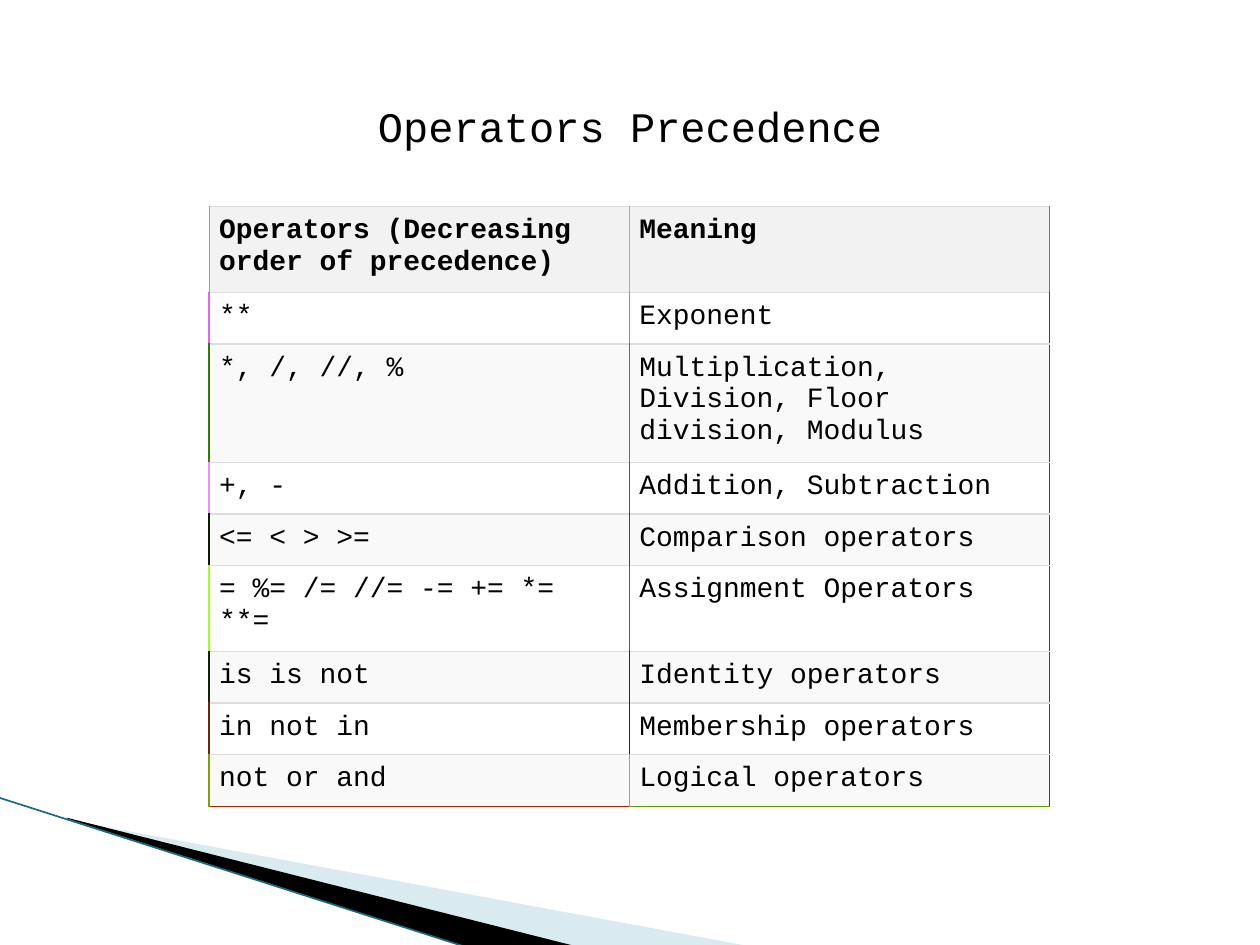
from dataclasses import dataclass

from lxml import etree
from pptx import Presentation
from pptx.dml.color import RGBColor
from pptx.enum.shapes import MSO_CONNECTOR
from pptx.enum.text import MSO_ANCHOR, PP_ALIGN
from pptx.oxml.ns import qn
from pptx.util import Inches, Pt

STRAIGHT = MSO_CONNECTOR.STRAIGHT
CENTER, LEFT = PP_ALIGN.CENTER, PP_ALIGN.LEFT
TOP = MSO_ANCHOR.TOP
TITLE_ONLY = 5


@dataclass(frozen=True)
class Theme:
    font: str = "Courier New"
    title_size: int = 24
    body_size: int = 16
    text: str = "000000"
    header: str = "F2F2F2"
    bands: tuple = ("F9F9F9", "FFFFFF")
    rule: str = "DDDDDD"
    right_edge: str = "D00415"
    pale_blade: str = "A0CBDC"
    dark_blade: str = "000000"
    blade_line: str = "1A6B7F"


class Deck:
    def __init__(self, theme):
        self.theme = theme
        self.prs = Presentation()
        self.prs.slide_width, self.prs.slide_height = Inches(10), Inches(7.5)
        self.s = self.prs.slides.add_slide(self.prs.slide_layouts[TITLE_ONLY])

    def style(self, tf, size, bold=False, align=LEFT):
        tf.word_wrap = True
        for p in tf.paragraphs:
            p.alignment = align
            for r in p.runs:
                r.font.name, r.font.size, r.font.bold = self.theme.font, Pt(size), bold
                r.font.color.rgb = RGBColor.from_string(self.theme.text)

    def title(self, text, x, y, w, h):
        sp = self.s.shapes.title
        sp.left, sp.top, sp.width, sp.height = map(Inches, (x, y, w, h))
        tf = sp.text_frame
        tf.text = text
        tf.vertical_anchor = TOP
        self.style(tf, self.theme.title_size, align=CENTER)

    def blade(self, points, color, alpha=None):
        start, *rest = [(Inches(x), Inches(y)) for x, y in points]
        builder = self.s.shapes.build_freeform(*start)
        builder.add_line_segments(rest, close=True)
        sp = builder.convert_to_shape()
        sp.shadow.inherit = False
        sp.fill.solid()
        sp.fill.fore_color.rgb = RGBColor.from_string(color)
        sp.line.fill.background()
        if alpha is not None:
            clr = sp.fill._xPr.find(qn("a:solidFill"))[0]
            etree.SubElement(clr, qn("a:alpha"), val=str(alpha * 1000))

    def line(self, start, end, color, width):
        cn = self.s.shapes.add_connector(STRAIGHT, *map(Inches, start + end))
        cn.line.color.rgb = RGBColor.from_string(color)
        cn.line.width = Pt(width)
        etree.SubElement(cn._element.spPr, qn("a:effectLst"))

    def borders(self, cell, **sides):
        tcPr = cell._tc.get_or_add_tcPr()
        for side, (color, width) in sides.items():
            ln = etree.SubElement(tcPr, qn(f"a:ln{side}"), w=str(Pt(width)))
            fill = etree.SubElement(ln, qn("a:solidFill"))
            etree.SubElement(fill, qn("a:srgbClr"), val=color)

    def table(self, rows, edges, heights, bottoms, x, y, w):
        t = self.theme
        box = map(Inches, (x, y, w, sum(heights)))
        tbl = self.s.shapes.add_table(len(rows), len(rows[0]), *box).table
        rule = (t.rule, 0.75)
        for i, (texts, colors) in enumerate(zip(rows, edges)):
            tbl.rows[i].height = Inches(heights[i])
            widths = (0.75, 0.75, 1) if i == 0 else (1, 1, 1)
            lines = list(zip(colors, widths))
            for j, text in enumerate(texts):
                cell = tbl.cell(i, j)
                cell.text_frame.text = text
                cell.margin_left = cell.margin_right = Inches(0.08)
                cell.margin_top = cell.margin_bottom = Inches(0.07)
                self.style(cell.text_frame, t.body_size, bold=i == 0)
                bottom = (bottoms[j], 1) if i == len(rows) - 1 else rule
                self.borders(cell, L=lines[j], R=lines[j + 1], T=rule, B=bottom)
                cell.fill.solid()
                color = t.header if i == 0 else t.bands[i % 2]
                cell.fill.fore_color.rgb = RGBColor.from_string(color)


theme = Theme()
deck = Deck(theme)
deck.blade([(0.55, 6.51), (5.95, 7.51), (4.56, 7.51), (0.55, 6.5)], theme.pale_blade, 40)
deck.blade([(0.53, 6.49), (4.57, 7.51), (3.72, 7.52), (0.54, 6.5)], theme.dark_blade)
deck.line((-0.01, 6.33), (3.71, 7.52), theme.blade_line, 0.95)
deck.title("Operators Precedence", 1.75, 0.75, 6.5, 0.5)

precedence = [
    ("Operators (Decreasing order of precedence)", "Meaning"),
    ("**", "Exponent"),
    ("*, /, //, %", "Multiplication, Division, Floor division, Modulus"),
    ("+, -", "Addition, Subtraction"),
    ("<= < > >=", "Comparison operators"),
    ("= %= /= //= -= += *= **=", "Assignment Operators"),
    ("is is not", "Identity operators"),
    ("in not in", "Membership operators"),
    ("not or and", "Logical operators"),
]
edges = [("709EF3", "A89EF3", "D032D9")] + [
    (left, middle, theme.right_edge)
    for left, middle in [
        ("E064F6", "A08B7E"),
        ("307D02", "707F02"),
        ("F08CF6", "207E02"),
        ("101C03", "A02303"),
        ("A0FE22", "E02303"),
        ("102403", "402403"),
        ("702403", "302E03"),
        ("80A103", "D0A103"),
    ]
]
row_heights = {1: 0.41, 2: 0.68, 3: 0.94}
line_counts = [2, 1, 3, 1, 1, 2, 1, 1, 1]
heights = [row_heights[n] for n in line_counts]
deck.table(precedence, edges, heights, ("B02403", "60A103"), 1.66, 1.64, 6.67)
deck.prs.save("out.pptx")
